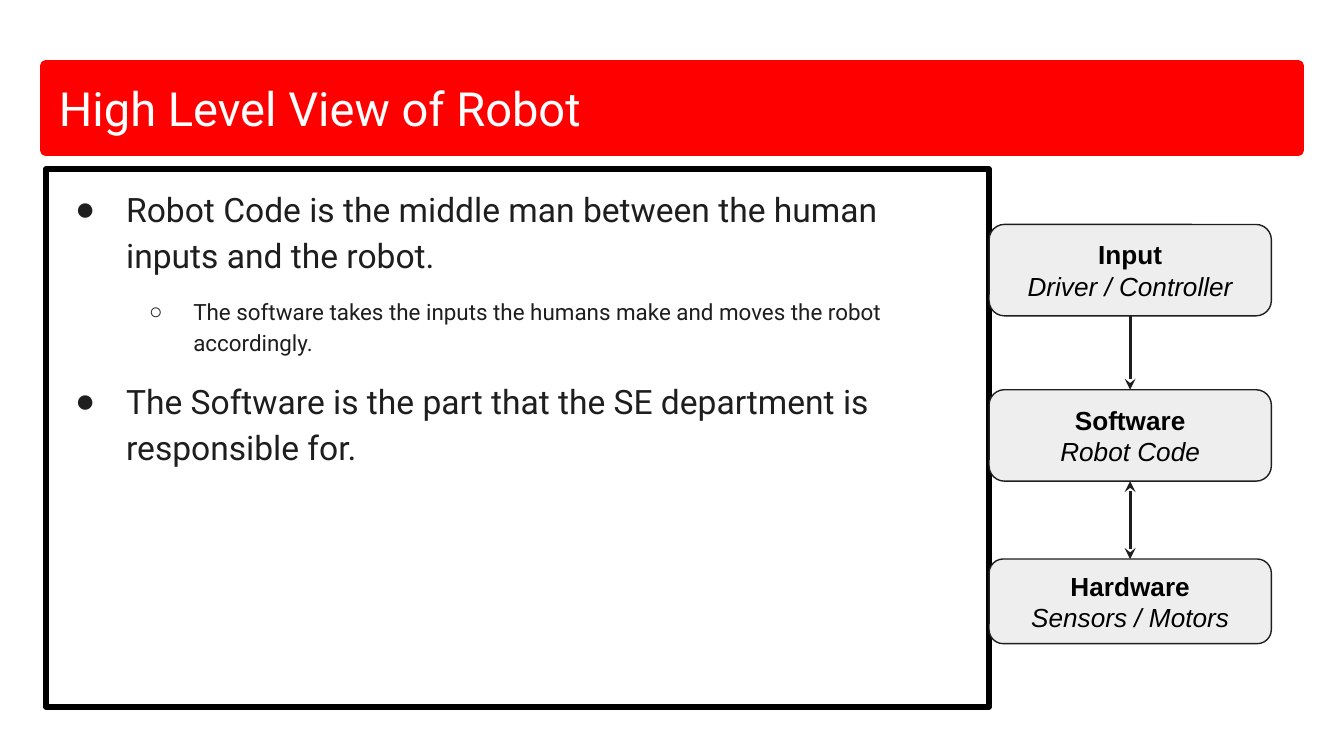
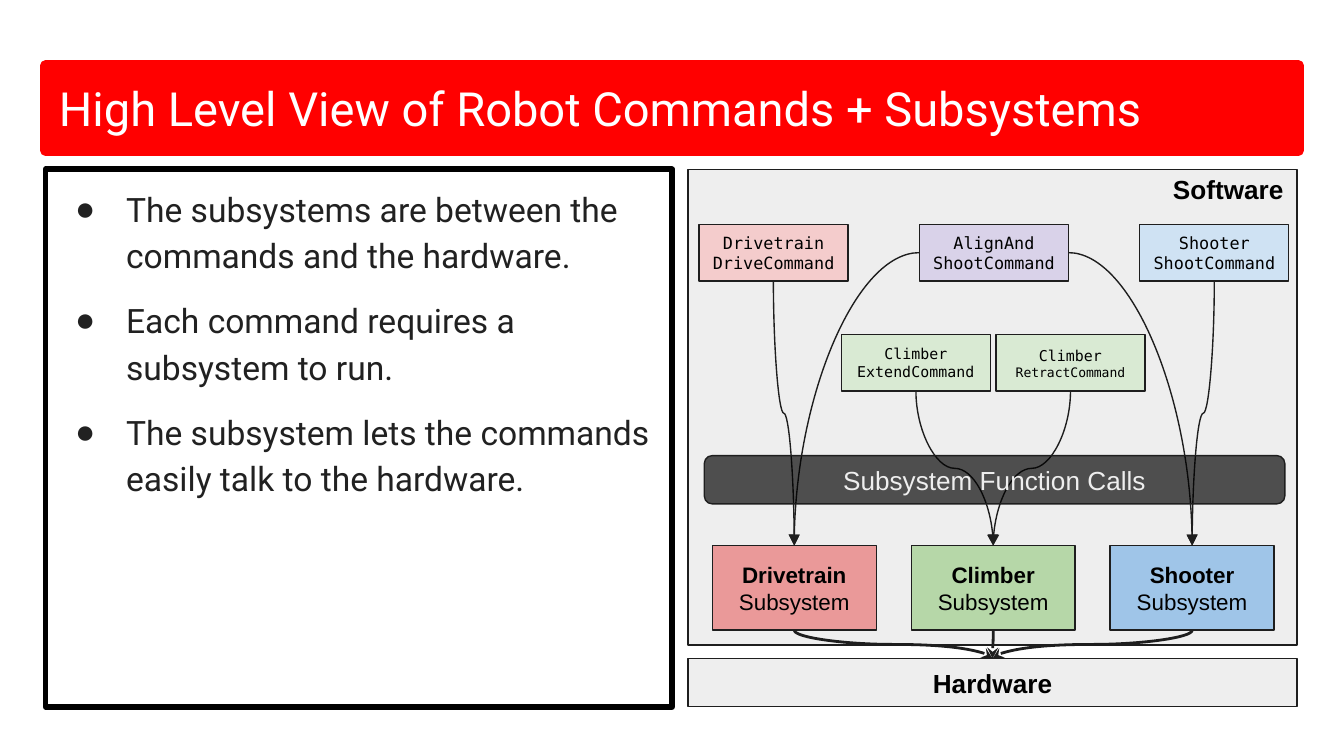
from dataclasses import dataclass
from typing import Optional

from pptx import Presentation
from pptx.dml.color import RGBColor
from pptx.enum.shapes import MSO_CONNECTOR as Connector, MSO_SHAPE as Shape
from pptx.enum.text import MSO_ANCHOR as Anchor, PP_ALIGN as Align
from pptx.oxml.ns import qn
from pptx.util import Inches, Pt
from lxml.etree import SubElement

WHITE = RGBColor(0xFF, 0xFF, 0xFF)
BLACK = RGBColor(0, 0, 0)
RED = RGBColor(0xFF, 0, 0)
INK = RGBColor(0x1E, 0x1E, 0x1E)
DARK_GREY = RGBColor(0x21, 0x21, 0x21)
PANEL = RGBColor(0xEE, 0xEE, 0xEE)
PINK = RGBColor(0xF4, 0xCC, 0xCC)
PURPLE = RGBColor(0xD9, 0xD2, 0xE9)
PALE_BLUE = RGBColor(0xCF, 0xE2, 0xF3)
PALE_GREEN = RGBColor(0xD9, 0xEA, 0xD3)
CORAL = RGBColor(0xEA, 0x99, 0x99)
GREEN = RGBColor(0xB6, 0xD7, 0xA8)
BLUE = RGBColor(0x9F, 0xC5, 0xE8)

HEADING_FONT = "Roboto"
DIAGRAM_FONT = "Arial"
CODE_FONT = "DejaVu Sans Mono"
LEFT = 0.34
BODY_TOP = 1.26
BODY_HEIGHT = 4
TOP_SITE, LEFT_SITE, BOTTOM_SITE, RIGHT_SITE = range(4)
BULLETS = (("●", 18, 0.5, -0.38), ("○", 12, 1, -0.33))


@dataclass
class Span:
    text: str
    bold: bool = False
    italic: bool = False
    size: Optional[float] = None


def add_box(slide, at, fill, line=INK, width=0.75, kind=Shape.RECTANGLE, opacity=None):
    shape = slide.shapes.add_shape(kind, *map(Inches, at))
    shape.shadow.inherit = False
    shape.fill.solid()
    shape.fill.fore_color.rgb = fill
    if opacity is not None:
        color = shape.fill._xPr.find(qn("a:solidFill"))[0]
        SubElement(color, qn("a:alpha")).set("val", str(opacity * 1000))
    shape.line.color.rgb = line
    shape.line.width = Pt(width)
    frame = shape.text_frame
    frame.word_wrap = True
    frame.margin_left = frame.margin_right = Inches(0.1)
    frame.margin_top = frame.margin_bottom = Inches(0.1)
    frame.vertical_anchor = Anchor.MIDDLE
    return shape


def write(shape, lines, size, font=DIAGRAM_FONT, color=BLACK, align=Align.CENTER):
    frame = shape.text_frame
    for index, spans in enumerate(lines):
        paragraph = frame.add_paragraph() if index else frame.paragraphs[0]
        paragraph.alignment = align
        for span in spans:
            run = paragraph.add_run()
            run.text = span.text
            run.font.name = font
            run.font.size = Pt(span.size or size)
            run.font.bold = span.bold
            run.font.italic = span.italic
            run.font.color.rgb = color
    return shape


def add_title(slide, text):
    band = add_box(slide, (LEFT, 0.49, 9.32, 0.63), RED, RED, 6)
    write(band, [[Span(text)]], 25.2, HEADING_FONT, WHITE, Align.LEFT)


def set_bullet(paragraph, level, color):
    symbol, _, margin, indent = BULLETS[level]
    properties = paragraph._p.get_or_add_pPr()
    properties.set("marL", str(Inches(margin)))
    properties.set("indent", str(Inches(indent)))
    bullet_color = SubElement(properties, qn("a:buClr"))
    SubElement(bullet_color, qn("a:srgbClr")).set("val", str(color))
    SubElement(properties, qn("a:buFont")).set("typeface", DIAGRAM_FONT)
    SubElement(properties, qn("a:buChar")).set("char", symbol)


def add_body(slide, width, items, color):
    body = add_box(slide, (LEFT, BODY_TOP, width, BODY_HEIGHT), WHITE, BLACK, 3, opacity=93)
    body.text_frame.vertical_anchor = Anchor.TOP
    lines = [[Span(text, size=BULLETS[level][1])] for level, text in items]
    write(body, lines, 18, HEADING_FONT, color, Align.LEFT)
    paragraphs = body.text_frame.paragraphs
    for index, (paragraph, (level, _)) in enumerate(zip(paragraphs, items)):
        paragraph.level = level
        paragraph.line_spacing = 1.15
        paragraph.space_before = Pt(10 if index else 0)
        if index == len(items) - 1:
            paragraph.space_after = Pt(10)
        set_bullet(paragraph, level, color)


def turn_vertical(connector):
    x1, y1 = connector.begin_x, connector.begin_y
    x2, y2 = connector.end_x, connector.end_y
    length, spread = y2 - y1, abs(x2 - x1)
    transform = connector._element.spPr.find(qn("a:xfrm"))
    for name in ("flipH", "flipV"):
        transform.attrib.pop(name, None)
    connector.left = (x1 + x2 - length) // 2
    connector.top = (y1 + y2 - spread) // 2
    connector.width, connector.height = length, spread
    if x2 >= x1:
        transform.set("rot", "16200000")
        transform.set("flipH", "1")
    else:
        transform.set("rot", "5400000")


def add_arrow(slide, start, end, start_site=BOTTOM_SITE, width=0.75, tip="triangle", both=False):
    connector = slide.shapes.add_connector(Connector.CURVE, 0, 0, 0, 0)
    connector.begin_connect(start, start_site)
    connector.end_connect(end, TOP_SITE)
    properties = connector._element.spPr
    if start_site == BOTTOM_SITE:
        turn_vertical(connector)
    else:
        properties.find(qn("a:prstGeom")).set("prst", "curvedConnector2")
    connector.line.color.rgb = INK
    connector.line.width = Pt(width)
    line = properties.find(qn("a:ln"))
    if both:
        SubElement(line, qn("a:headEnd")).set("type", tip)
    SubElement(line, qn("a:tailEnd")).set("type", tip)
    SubElement(properties, qn("a:effectLst"))


def add_stage(slide, top, height, name, detail):
    stage = add_box(slide, (7.36, top, 2.1, height), PANEL, kind=Shape.ROUNDED_RECTANGLE)
    return write(stage, [[Span(name, bold=True)], [Span(detail, italic=True)]], 14)


def add_subsystem(slide, column, name, fill):
    box = add_box(slide, (5.3 + 1.48 * column, 4.06, 1.22, 0.63), fill)
    return write(box, [[Span(name, bold=True), Span(" Subsystem")]], 12)


def add_command(slide, left, top, lines, fill, size=9):
    box = add_box(slide, (left, top, 1.11, 0.42), fill)
    return write(box, lines, size, CODE_FONT)


def build_overview(slide):
    add_title(slide, "High Level View of Robot")
    add_body(slide, 7.02, [
        (0, "Robot Code is the middle man between the human inputs and the robot."),
        (1, "The software takes the inputs the humans make and moves the robot accordingly."),
        (0, "The Software is the part that the SE department is responsible for."),
    ], INK)
    controls = add_stage(slide, 1.67, 0.68, "Input", "Driver / Controller")
    software = add_stage(slide, 2.9, 0.68, "Software", "Robot Code")
    hardware = add_stage(slide, 4.16, 0.63, "Hardware", "Sensors / Motors")
    add_arrow(slide, controls, software, width=1.5, tip="stealth")
    add_arrow(slide, software, hardware, width=1.5, tip="stealth", both=True)


def build_subsystems(slide):
    add_title(slide, "High Level View of Robot Commands + Subsystems")
    add_body(slide, 4.66, [
        (0, "The subsystems are between the commands and the hardware."),
        (0, "Each command requires a subsystem to run."),
        (0, "The subsystem lets the commands easily talk to the hardware."),
    ], DARK_GREY)

    software = add_box(slide, (5.12, BODY_TOP, 4.53, 3.54), PANEL)
    software.text_frame.vertical_anchor = Anchor.TOP
    software.text_frame.margin_top = Inches(0.03)
    write(software, [[Span("Software", bold=True)]], 14, align=Align.RIGHT)

    drivetrain, climber, shooter = subsystems = [
        add_subsystem(slide, column, name, fill)
        for column, (name, fill) in enumerate(
            (("Drivetrain", CORAL), ("Climber", GREEN), ("Shooter", BLUE)))
    ]
    hardware = add_box(slide, (5.12, 4.9, 4.53, 0.36), PANEL)
    write(hardware, [[Span("Hardware", bold=True)]], 14)
    for subsystem in subsystems:
        add_arrow(slide, subsystem, hardware, width=1.5, tip="stealth")

    drive, align, shoot = [
        add_command(slide, 5.2 + 1.64 * column, 1.67, lines, fill)
        for column, (lines, fill) in enumerate((
            ([[Span("Drivetrain DriveCommand")]], PINK),
            ([[Span("AlignAnd")], [Span("ShootCommand")]], PURPLE),
            ([[Span("Shooter\vShootCommand")]], PALE_BLUE)))
    ]
    extend, retract = [
        add_command(slide, left, 2.49, [[Span("Climber")], [Span(name, size=size)]], PALE_GREEN, 8)
        for left, name, size in ((6.26, "ExtendCommand", 8), (7.41, "RetractCommand", 7))
    ]
    shoot_paragraph = shoot.text_frame.paragraphs[0]
    shoot_paragraph.text = "Shooter\vShootCommand"
    for run in shoot_paragraph.runs:
        run.font.name = CODE_FONT
        run.font.size = Pt(9)
        run.font.color.rgb = BLACK

    for command, subsystem, site in (
        (extend, climber, BOTTOM_SITE),
        (retract, climber, BOTTOM_SITE),
        (drive, drivetrain, BOTTOM_SITE),
        (align, drivetrain, LEFT_SITE),
        (align, shooter, RIGHT_SITE),
        (shoot, shooter, BOTTOM_SITE),
    ):
        add_arrow(slide, command, subsystem, site)

    calls = add_box(slide, (5.24, 3.39, 4.32, 0.36), BLACK,
                    kind=Shape.ROUNDED_RECTANGLE, opacity=67)
    write(calls, [[Span("Subsystem Function Calls")]], 14, color=PANEL)


def main():
    presentation = Presentation()
    presentation.slide_width = Inches(10)
    presentation.slide_height = Inches(10) * 9 // 16
    for build in (build_overview, build_subsystems):
        build(presentation.slides.add_slide(presentation.slide_layouts[6]))
    presentation.save("out.pptx")


if __name__ == "__main__":
    main()
